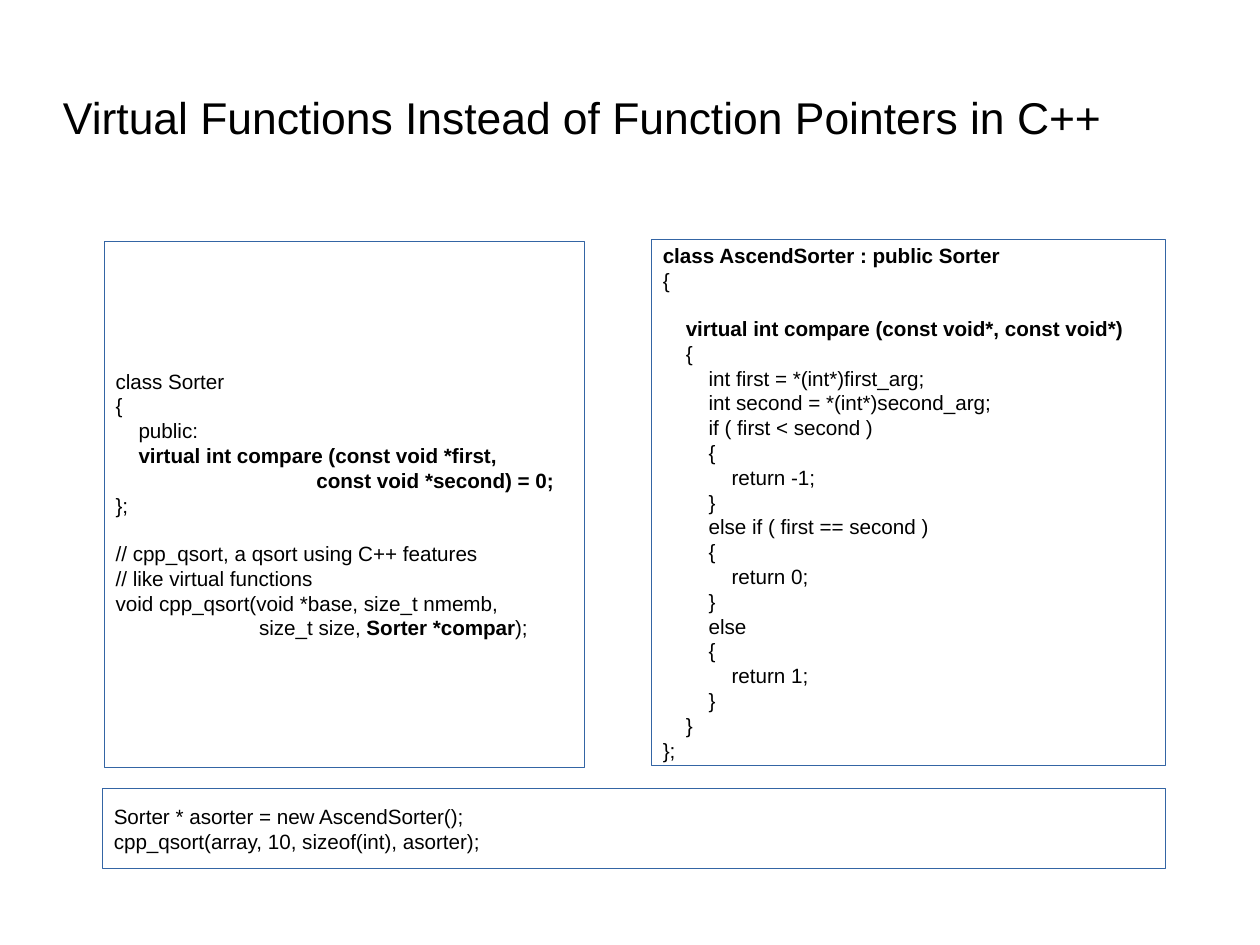
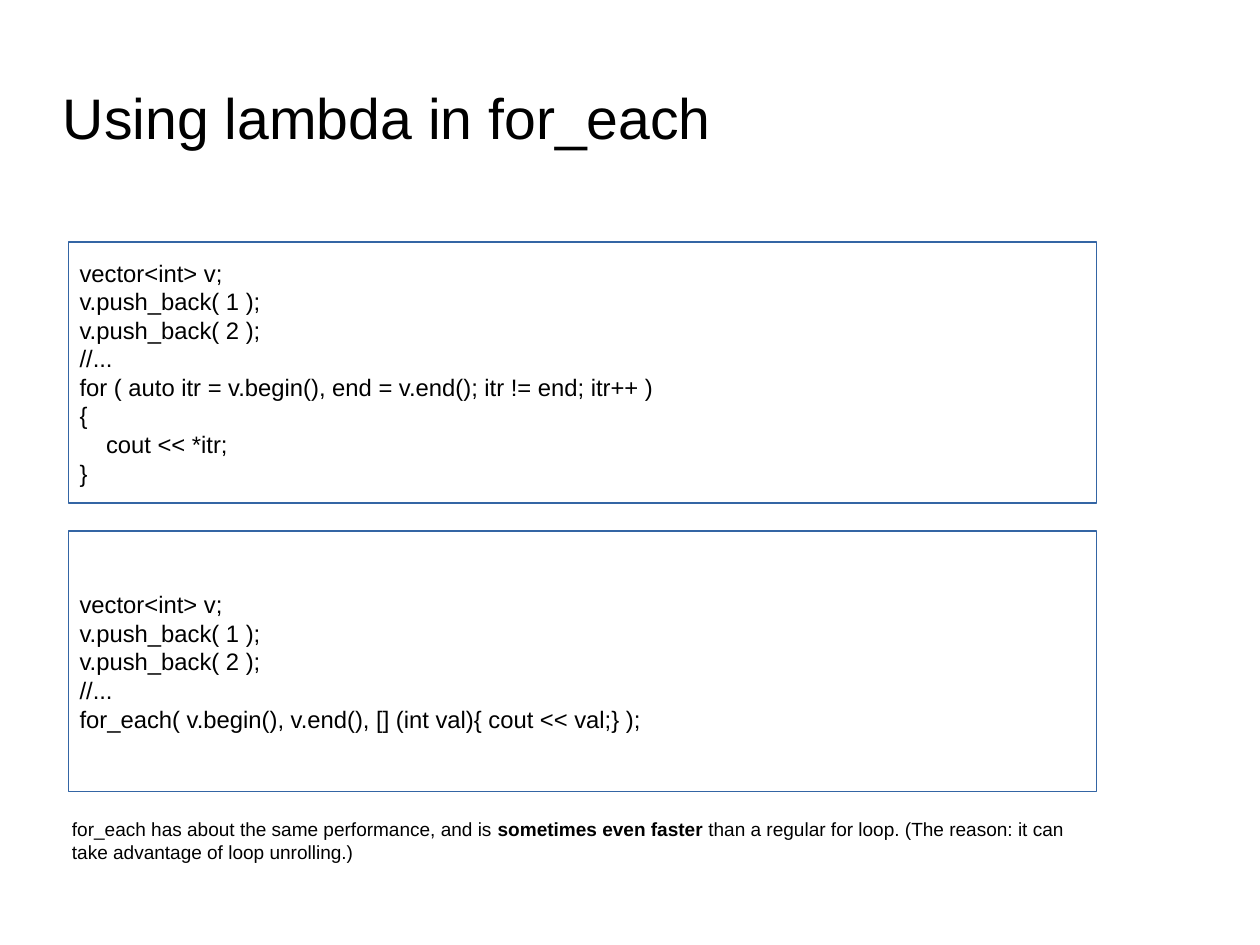
"""Build two slides that compare C++ code styles."""
from dataclasses import dataclass

from pptx import Presentation
from pptx.dml.color import RGBColor
from pptx.enum.shapes import MSO_SHAPE
from pptx.enum.text import MSO_ANCHOR, PP_ALIGN
from pptx.util import Cm, Pt

RECT = MSO_SHAPE.RECTANGLE
MIDDLE = MSO_ANCHOR.MIDDLE
TOP = MSO_ANCHOR.TOP
LEFT = PP_ALIGN.LEFT


@dataclass(frozen=True)
class Theme:
    """Colours, type sizes and text ratios."""
    font: str = "Arial"
    ink: RGBColor = RGBColor(0, 0, 0)
    edge: RGBColor = RGBColor(0x34, 0x65, 0xA4)
    head: int = 36
    long_head: int = 28
    code: int = 13
    big_code: int = 15
    note: int = 12
    space: float = 0.278
    line: float = 1.15


class Deck:
    """Holds the style and the current slide."""

    def __init__(self, theme):
        self.theme = theme
        self.prs = Presentation()
        self.prs.slide_width, self.prs.slide_height = Cm(28), Cm(21)
        self.slide = None

    def style(self, para, size):
        """Set the font of a paragraph."""
        para.alignment = LEFT
        font = para.font
        font.name, font.size = self.theme.font, Pt(size)
        font.color.rgb = self.theme.ink

    def title(self, text, size, wide, tall):
        """Start a slide and set its title."""
        self.slide = self.prs.slides.add_slide(self.prs.slide_layouts[5])
        head = self.slide.shapes.title
        head.left, head.top = Cm(1.4), Cm(2.6 - tall / 2)
        head.width, head.height = Cm(wide), Cm(tall)
        frame = head.text_frame
        frame.margin_left = frame.margin_right = 0
        frame.margin_top = frame.margin_bottom = 0
        frame.vertical_anchor = MIDDLE
        frame.text = text
        self.style(frame.paragraphs[0], size)

    def fill(self, frame, text, size, anchor):
        """Write lines; leading spaces indent, blanks add a gap, ` flips bold."""
        frame.word_wrap = True
        frame.vertical_anchor = anchor
        frame.margin_left = frame.margin_right = Cm(0.25)
        frame.margin_top = frame.margin_bottom = Cm(0.13)
        para, gap = frame.paragraphs[0], 0
        for row, line in enumerate(text.strip("\n").split("\n")):
            body = line.lstrip()
            if not body:
                gap += size * self.theme.line
                continue
            if row:
                para = frame.add_paragraph()
            self.style(para, size)
            para.space_before, gap = Pt(gap), 0
            inset = Pt((len(line) - len(body)) * size * self.theme.space)
            props = para._p.get_or_add_pPr()
            props.set("marL", str(int(inset)))
            props.set("indent", "0")
            for part, words in enumerate(body.split("`")):
                if words:
                    run = para.add_run()
                    run.text = words
                    if part % 2:
                        run.font.bold = True

    def code(self, text, size, x, y, wide, tall):
        """Add a framed block of code."""
        box = self.slide.shapes.add_shape(RECT, Cm(x), Cm(y), Cm(wide), Cm(tall))
        box.shadow.inherit = False
        box.fill.background()
        box.line.color.rgb = self.theme.edge
        box.line.width = Pt(0)
        self.fill(box.text_frame, text, size, MIDDLE)

    def note(self, text, x, y, wide, tall):
        """Add a plain remark."""
        box = self.slide.shapes.add_textbox(Cm(x), Cm(y), Cm(wide), Cm(tall))
        self.fill(box.text_frame, text, self.theme.note, TOP)


SORTER = """
class Sorter
{
    public:
    `virtual int compare (const void *first,`
                                   `const void *second) = 0;`
};

// cpp_qsort, a qsort using C++ features
// like virtual functions
void cpp_qsort(void *base, size_t nmemb,
                         size_t size, `Sorter *compar`);
"""

ASCEND = """
`class AscendSorter : public Sorter`
{

    `virtual int compare (const void*, const void*)`
    {
        int first = *(int*)first_arg;
        int second = *(int*)second_arg;
        if ( first < second )
        {
            return -1;
        }
        else if ( first == second )
        {
            return 0;
        }
        else
        {
            return 1;
        }
    }
};
"""

USAGE = """
Sorter * asorter = new AscendSorter();
cpp_qsort(array, 10, sizeof(int), asorter);
"""

SETUP = """
vector<int> v;
v.push_back( 1 );
v.push_back( 2 );
//...
"""

LOOP = SETUP + """\
for ( auto itr = v.begin(), end = v.end(); itr != end; itr++ )
{
    cout << *itr;
}
"""

LAMBDA = SETUP + "for_each( v.begin(), v.end(), [] (int val){ cout << val;} );"

SPEED = ("for_each has about the same performance, and is `sometimes even faster`"
         " than a regular for loop. (The reason: it can take advantage of loop"
         " unrolling.)")


def main():
    """Build and save the deck."""
    theme = Theme()
    deck = Deck(theme)

    deck.title("Virtual Functions Instead of Function Pointers in C++",
               theme.long_head, 25.2, 3.5)
    deck.code(SORTER, theme.code, 2.32, 5.36, 10.67, 11.69)
    deck.code(ASCEND, theme.code, 14.48, 5.32, 11.43, 11.69)
    deck.code(USAGE, theme.code, 2.28, 17.52, 23.63, 1.78)

    deck.title("Using lambda in for_each", theme.head, 20, 2)
    for row, text in enumerate((LOOP, LAMBDA)):
        deck.code(text, theme.big_code, 1.52, 5.38 + row * 6.42, 22.84, 5.8)
    deck.note(SPEED, 1.35, 18.03, 23.04, 1.22)

    deck.prs.save("out.pptx")


if __name__ == "__main__":
    main()
